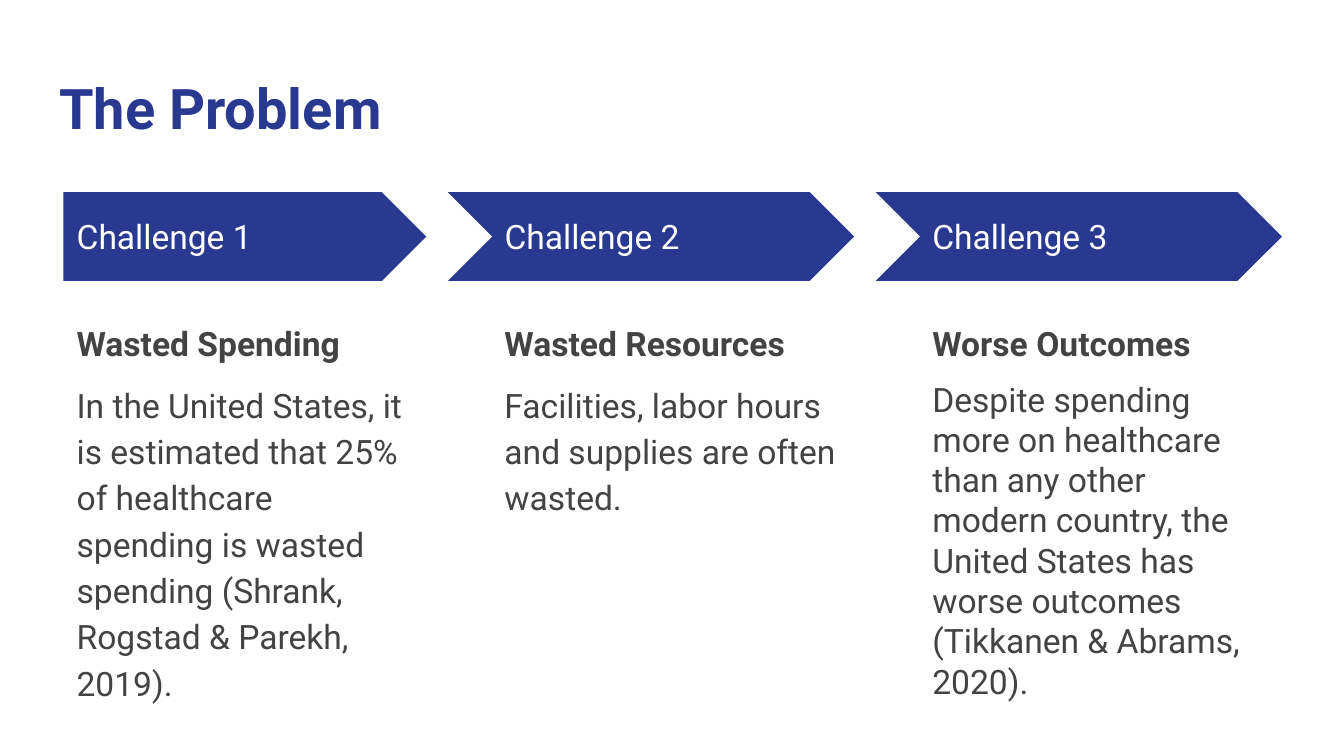
from dataclasses import dataclass
from pptx import Presentation
from pptx.dml.color import RGBColor
from pptx.enum import shapes, text
from pptx.util import Pt


@dataclass(frozen=True)
class Theme:
    font: str = "Roboto"
    navy: str = "2A3990"
    gray: str = "434343"
    white: str = "FFFFFF"
    head: float = 30
    body: float = 18
    inset: float = 7.2


class Deck:
    def __init__(self, theme, wide, high):
        self.theme = theme
        self.file = Presentation()
        self.file.slide_width, self.file.slide_height = Pt(wide), Pt(high)
        self.slide = self.file.slides.add_slide(self.file.slide_layouts[5])

    def frame(self, shape, anchor):
        frame = shape.text_frame
        inset = Pt(self.theme.inset)
        values = {
            "word_wrap": True,
            "auto_size": text.MSO_AUTO_SIZE.NONE,
            "vertical_anchor": anchor,
            "margin_left": inset,
            "margin_top": inset,
            "margin_right": inset,
            "margin_bottom": inset,
        }
        for name, value in values.items():
            setattr(frame, name, value)
        return frame

    def style(self, para, words, size, color, bold=False, **layout):
        run = para.add_run()
        run.text = words
        values = {"name": self.theme.font, "size": Pt(size), "bold": bold}
        for name, value in values.items():
            setattr(run.font, name, value)
        run.font.color.rgb = RGBColor.from_string(color)
        for name, value in {"alignment": text.PP_ALIGN.LEFT, **layout}.items():
            setattr(para, name, value)

    def title(self, words, box):
        shape = self.slide.shapes.title
        for name, value in zip(("left", "top", "width", "height"), box):
            setattr(shape, name, Pt(value))
        para = self.frame(shape, text.MSO_ANCHOR.TOP).paragraphs[0]
        self.style(para, words, self.theme.head, self.theme.navy, True)

    def arrow(self, kind, box):
        shape = self.slide.shapes.add_shape(kind, *map(Pt, box))
        shape.shadow.inherit = False
        shape.adjustments[0] = 0.5
        shape.fill.solid()
        shape.fill.fore_color.rgb = RGBColor.from_string(self.theme.navy)
        shape.line.fill.background()

    def label(self, words, box):
        shape = self.slide.shapes.add_textbox(*map(Pt, box))
        para = self.frame(shape, text.MSO_ANCHOR.MIDDLE).paragraphs[0]
        self.style(para, words, self.theme.body, self.theme.white)

    def story(self, head, words, box, layout):
        shape = self.slide.shapes.add_textbox(*map(Pt, box))
        frame = self.frame(shape, text.MSO_ANCHOR.TOP)
        size, color = self.theme.body, self.theme.gray
        self.style(frame.paragraphs[0], head, size, color, True, line_spacing=1.15)
        self.style(frame.add_paragraph(), words, size, color,
                   space_before=Pt(8), **layout)


def main():
    deck = Deck(Theme(), 720, 405)
    deck.title("The Problem", (24.5, 32.4, 671, 47.5))
    loose = {"line_spacing": 1.15, "space_after": Pt(8)}
    tight = {"line_spacing": 1.0}
    items = [
        ("Wasted Spending",
         "In the United States, it is estimated that 25% of healthcare "
         "spending is wasted spending (Shrank, Rogstad & Parekh, 2019).", loose),
        ("Wasted Resources",
         "Facilities, labor hours and supplies are often wasted.", loose),
        ("Worse Outcomes",
         "Despite spending more on healthcare than any other modern country, "
         "the United States has worse outcomes (Tikkanen & Abrams, 2020).", tight),
    ]
    left, step, wide = 34, 229.2, 194.4
    for i, (head, words, layout) in enumerate(items):
        x = left + i * step
        notch = 23.2 if i else 0
        kind = shapes.MSO_SHAPE.CHEVRON if i else shapes.MSO_SHAPE.PENTAGON
        deck.arrow(kind, (x - notch, 103, wide + notch, 47.5))
        deck.label(f"Challenge {i + 1}", (x, 114.5, 178, 24.5))
        deck.story(head, words, (x, 162.7, wide, 209), layout)
    deck.file.save("out.pptx")


if __name__ == "__main__":
    main()
